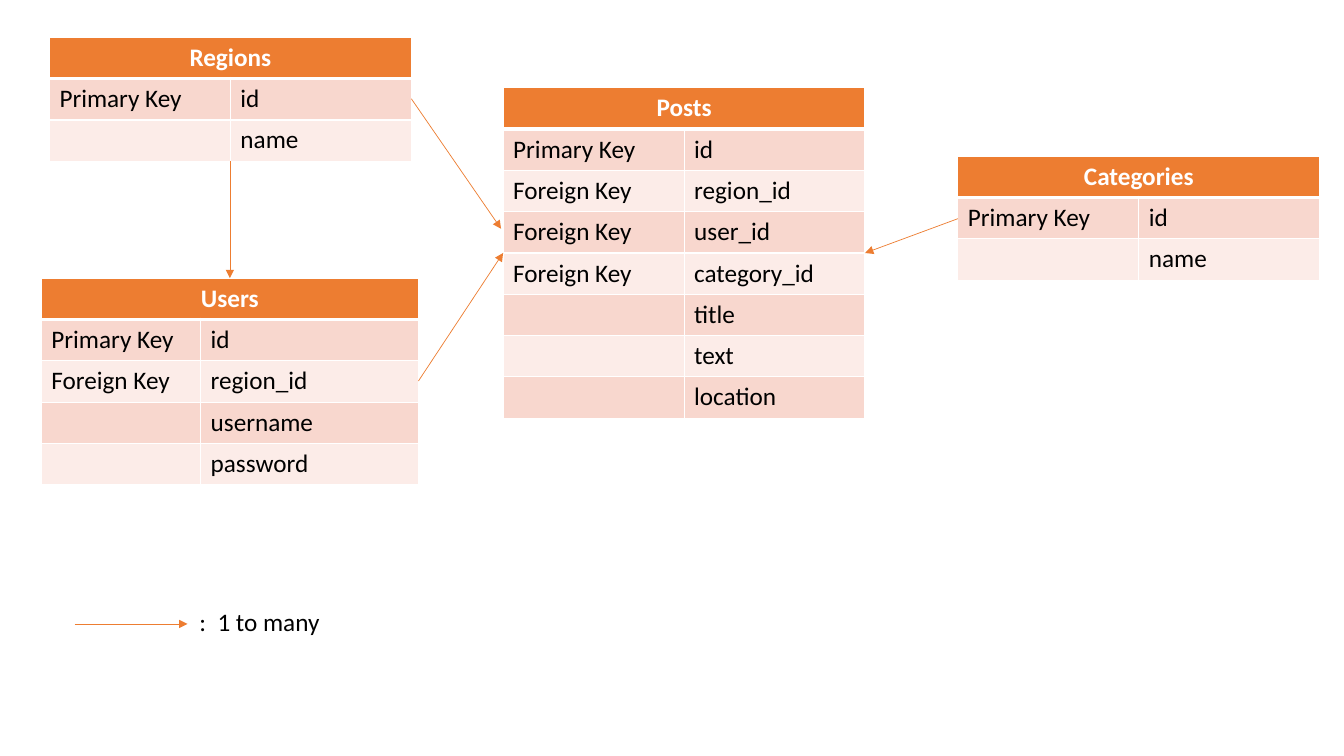
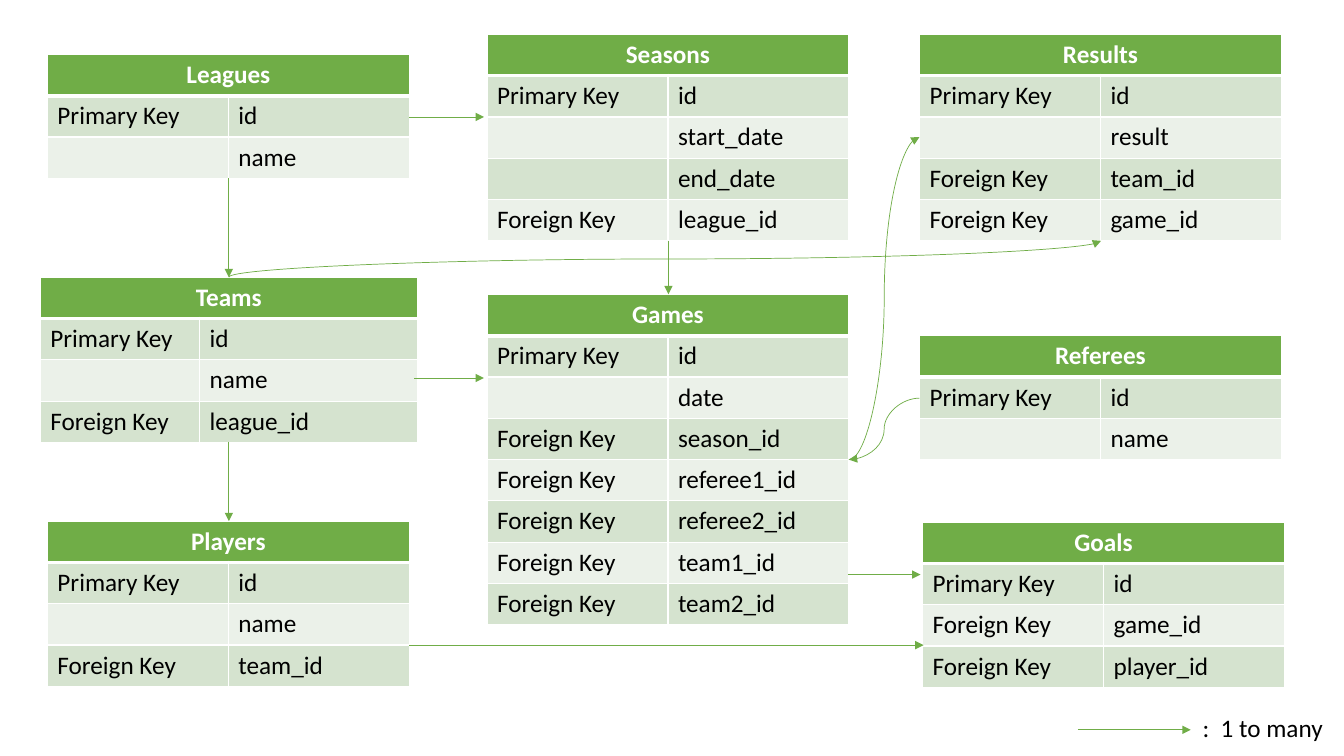
from dataclasses import dataclass

from lxml.etree import SubElement
from pptx import Presentation
from pptx.dml.color import RGBColor
from pptx.enum.shapes import MSO_CONNECTOR
from pptx.enum.text import PP_ALIGN
from pptx.oxml.ns import qn
from pptx.presentation import Presentation as Deck
from pptx.slide import Slide
from pptx.table import _Cell as Cell
from pptx.text.text import _Paragraph as Paragraph
from pptx.util import Inches, Pt


@dataclass(frozen=True)
class Palette:
    accent: str
    bands: tuple[str, str]


@dataclass(frozen=True)
class Theme:
    font: str = "Calibri"
    size: int = 18
    text: str = "000000"
    white: str = "FFFFFF"
    border: float = 1
    header_border: float = 3
    row_height: float = 0.41
    orange: Palette = Palette("ED7D31", ("F8D7CE", "FCECE8"))
    green: Palette = Palette("70AD47", ("D5E3CF", "EBF1E9"))


THEME = Theme()
EVEN_COLUMNS = (3.59 / 2, 3.59 / 2)
WIDE_COLUMNS = (1.58, 2.16)


@dataclass(frozen=True)
class Entity:
    name: str
    left: float
    top: float
    fields: tuple[str, ...]
    columns: tuple[float, float] = EVEN_COLUMNS


@dataclass(frozen=True)
class Relation:
    start: tuple[float, float]
    end: tuple[float, float]
    weight: float = 0.5
    curved: bool = False
    upright: bool = False


@dataclass(frozen=True)
class Diagram:
    palette: Palette
    entities: tuple[Entity, ...]
    relations: tuple[Relation, ...]
    legend: tuple[float, float]


BLOG = Diagram(
    THEME.orange,
    (
        Entity("Regions", 0.49, 0.37, ("id", "name")),
        Entity("Users", 0.41, 2.76, ("id", "region_id", "username", "password"), WIDE_COLUMNS),
        Entity("Categories", 9.5, 1.55, ("id", "name")),
        Entity("Posts", 4.99, 0.87,
               ("id", "region_id", "user_id", "category_id", "title", "text", "location")),
    ),
    (
        Relation((2.28, 1.6), (2.28, 2.76)),
        Relation((4.15, 3.78), (4.99, 2.51)),
        Relation((9.5, 2.17), (8.58, 2.51)),
        Relation((4.08, 0.98), (4.97, 2.27)),
    ),
    (0.74, 6.19),
)

LEAGUE = Diagram(
    THEME.green,
    (
        Entity("Leagues", 0.47, 0.54, ("id", "name")),
        Entity("Teams", 0.4, 2.75, ("id", "name", "league_id"), WIDE_COLUMNS),
        Entity("Players", 0.47, 5.17, ("id", "name", "team_id")),
        Entity("Goals", 9.15, 5.18, ("id", "game_id", "player_id")),
        Entity("Games", 4.83, 2.92,
               ("id", "date", "season_id", "referee1_id", "referee2_id", "team1_id", "team2_id")),
        Entity("Referees", 9.12, 3.33, ("id", "name")),
        Entity("Seasons", 4.83, 0.34, ("id", "start_date", "end_date", "league_id")),
        Entity("Results", 9.12, 0.34, ("id", "result", "team_id", "game_id")),
    ),
    (
        Relation((2.27, 1.77), (2.27, 2.75)),
        Relation((4.06, 1.16), (4.8, 1.16)),
        Relation((2.27, 4.39), (2.27, 5.17)),
        Relation((4.11, 3.75), (4.8, 3.75)),
        Relation((6.63, 2.39), (6.63, 2.92), weight=1),
        Relation((8.41, 5.7), (9.13, 5.7)),
        Relation((9.12, 3.95), (8.42, 4.56), curved=True),
        Relation((2.27, 2.75), (10.92, 2.39), curved=True, upright=True),
        Relation((8.42, 4.56), (9.12, 1.36), curved=True),
        Relation((4.06, 6.4), (9.16, 6.4)),
    ),
    (10.69, 7.24),
)


def key_label(field: str) -> str:
    if field == "id":
        return "Primary Key"
    return "Foreign Key" if field.endswith("_id") else ""


def style_text(para: Paragraph, color: str, bold: bool = False) -> None:
    para.font.name = THEME.font
    para.font.size = Pt(THEME.size)
    para.font.bold = bold
    para.font.color.rgb = RGBColor.from_string(color)


def style_cell(cell: Cell, fill: str, bottom: float) -> None:
    properties = cell._tc.get_or_add_tcPr()
    widths = {"a:lnL": THEME.border, "a:lnR": THEME.border, "a:lnT": THEME.border, "a:lnB": bottom}
    for side, width in widths.items():
        line = SubElement(properties, qn(side), w=str(Pt(width)))
        solid = SubElement(line, qn("a:solidFill"))
        SubElement(solid, qn("a:srgbClr"), val=THEME.white)
    cell.fill.solid()
    cell.fill.fore_color.rgb = RGBColor.from_string(fill)


def draw_entity(page: Slide, entity: Entity, palette: Palette) -> None:
    row_count = len(entity.fields) + 1
    frame = page.shapes.add_table(
        row_count, 2, Inches(entity.left), Inches(entity.top),
        Inches(sum(entity.columns)), Inches(row_count * THEME.row_height))
    table = frame.table
    for column, width in zip(table.columns, entity.columns):
        column.width = Inches(width)
    for row in table.rows:
        row.height = Inches(THEME.row_height)

    header = table.cell(0, 0)
    header.merge(table.cell(0, 1))
    header.text = entity.name
    header.text_frame.paragraphs[0].alignment = PP_ALIGN.CENTER
    style_text(header.text_frame.paragraphs[0], THEME.white, bold=True)
    for cell in table.rows[0].cells:
        style_cell(cell, palette.accent, THEME.header_border)

    for index, field in enumerate(entity.fields):
        for cell, text in zip(table.rows[index + 1].cells, (key_label(field), field)):
            cell.text = text
            style_text(cell.text_frame.paragraphs[0], THEME.text)
            style_cell(cell, palette.bands[index % 2], THEME.border)


def draw_relation(page: Slide, relation: Relation, color: str) -> None:
    (x1, y1), (x2, y2) = relation.start, relation.end
    if relation.upright:
        center_x, center_y = (x1 + x2) / 2, (y1 + y2) / 2
        half_x, half_y = (x2 - x1) / 2, (y2 - y1) / 2
        x1, y1 = center_x - half_y, center_y + half_x
        x2, y2 = center_x + half_y, center_y - half_x
    kind = MSO_CONNECTOR.CURVE if relation.curved else MSO_CONNECTOR.STRAIGHT
    arrow = page.shapes.add_connector(kind, Inches(x1), Inches(y1), Inches(x2), Inches(y2))
    arrow.line.color.rgb = RGBColor.from_string(color)
    arrow.line.width = Pt(relation.weight)
    properties = arrow._element.spPr
    if relation.upright:
        properties.find(qn("a:xfrm")).set("rot", str(90 * 60000))
    SubElement(properties.find(qn("a:ln")), qn("a:tailEnd"), type="triangle")
    SubElement(properties, qn("a:effectLst"))


def draw_legend(page: Slide, left: float, middle: float, color: str) -> None:
    draw_relation(page, Relation((left, middle), (left + 1.12, middle)), color)
    box = page.shapes.add_textbox(
        Inches(left + 1.14), Inches(middle - 0.22), Inches(1.5), Inches(0.4))
    box.text_frame.word_wrap = True
    para = box.text_frame.paragraphs[0]
    para.text = ":  1 to many"
    style_text(para, THEME.text)


def draw_diagram(deck: Deck, diagram: Diagram) -> None:
    page = deck.slides.add_slide(deck.slide_layouts.get_by_name("Blank"))
    for entity in diagram.entities:
        draw_entity(page, entity, diagram.palette)
    for relation in diagram.relations:
        draw_relation(page, relation, diagram.palette.accent)
    draw_legend(page, *diagram.legend, diagram.palette.accent)


def main() -> None:
    deck = Presentation()
    deck.slide_width = Inches(13.33)
    deck.slide_height = Inches(7.5)
    for diagram in (BLOG, LEAGUE):
        draw_diagram(deck, diagram)
    deck.save("out.pptx")


if __name__ == "__main__":
    main()
